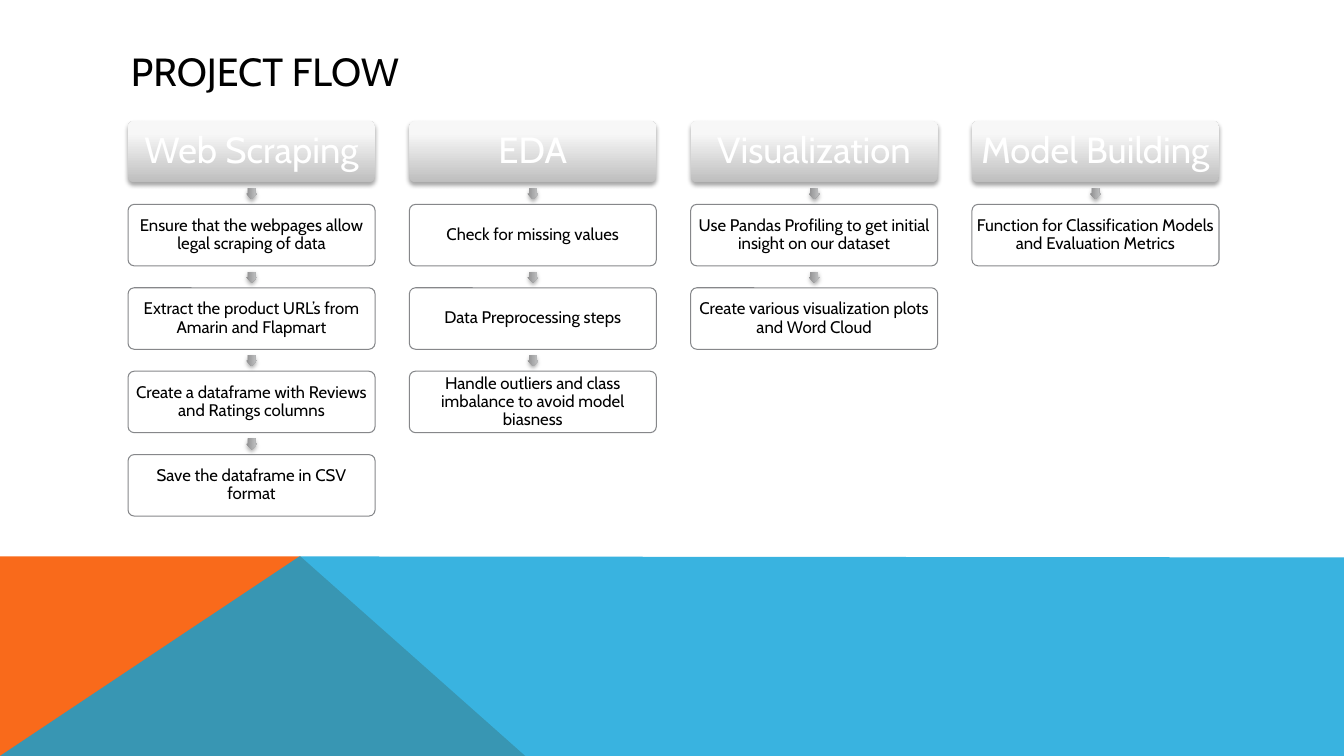
from lxml.etree import SubElement
from pptx import Presentation
from pptx.dml.color import RGBColor
from pptx.enum.shapes import MSO_SHAPE as Shape
from pptx.enum.text import MSO_ANCHOR as Anchor, PP_ALIGN as Align
from pptx.oxml.ns import qn
from pptx.util import Inches, Pt

COLORS = {
    "black": "000000",
    "white": "FFFFFF",
    "orange": "F96A1B",
    "blue": "08A1D9",
    "outline": "797B7E",
}
HEADER_STOPS = [(0, "BEBEBE"), (80, "F7F7F7"), (100, "F8F8F8")]
ARROW_STOPS = [(0, "8E8E8F"), (80, "B8B9BA"), (100, "B9BABB")]

LEFT, TOP = 1.27, 1.2
BOX_WIDTH, BOX_HEIGHT = 2.45, 0.61
COLUMN_PITCH = 2.79
ROW_PITCH = 3.31 / 4
ARROW_SIZE, ARROW_RISE = 0.11, 0.16

FLOW = {
    "Web Scraping": [
        "Ensure that the webpages allow legal scraping of data",
        "Extract the product URL’s from Amarin and Flapmart",
        "Create a dataframe with Reviews and Ratings columns",
        "Save the dataframe in CSV format",
    ],
    "EDA": [
        "Check for missing values",
        "Data Preprocessing steps",
        "Handle outliers and class imbalance to avoid model biasness",
    ],
    "Visualization": [
        "Use Pandas Profiling to get initial insight on our dataset",
        "Create various visualization plots and Word Cloud",
    ],
    "Model Building": [
        "Function for Classification Models and Evaluation Metrics",
    ],
}


class FlowSlide:
    font_name = "Cabin"

    def __init__(self, slide):
        self.slide = slide

    def color(self, name):
        return RGBColor.from_string(COLORS[name])

    def set_alpha(self, fill_parent, percent):
        for color in fill_parent.iter(qn("a:srgbClr")):
            SubElement(color, qn("a:alpha"), val=str(percent * 1000))

    def paint_gradient(self, shape, stops):
        shape.fill.background()
        properties = shape.element.spPr
        gradient = properties.makeelement(qn("a:gradFill"), {"rotWithShape": "1"})
        stop_list = SubElement(gradient, qn("a:gsLst"))
        for position, value in stops:
            stop = SubElement(stop_list, qn("a:gs"), pos=str(position * 1000))
            SubElement(stop, qn("a:srgbClr"), val=value)
        SubElement(gradient, qn("a:lin"), ang=str(270 * 60000), scaled="0")
        properties.replace(properties.find(qn("a:noFill")), gradient)

    def add_shadow(self, shape):
        effects = shape.element.spPr.find(qn("a:effectLst"))
        shadow = SubElement(
            effects, qn("a:outerShdw"), blurRad=str(Pt(3.1)), dist=str(Pt(1.8)),
            dir=str(90 * 60000), algn="ctr", rotWithShape="0",
        )
        SubElement(shadow, qn("a:srgbClr"), val=COLORS["black"])
        self.set_alpha(shadow, 35)

    def set_text(self, shape, text, size, color, inset, align=Align.CENTER, spacing=0.9):
        frame = shape.text_frame
        frame_format = {"word_wrap": True, "vertical_anchor": Anchor.MIDDLE}
        for side in ("left", "top", "right", "bottom"):
            frame_format[f"margin_{side}"] = Inches(inset)
        paragraph = frame.paragraphs[0]
        run = paragraph.add_run()
        run.text = text
        run.font.color.rgb = self.color(color)
        formats = [
            (frame, frame_format),
            (paragraph, {"alignment": align, "line_spacing": spacing}),
            (run.font, {"name": self.font_name, "size": Pt(size)}),
        ]
        for target, values in formats:
            for name, value in values.items():
                setattr(target, name, value)

    def band(self, points, color, alpha=None):
        corners = [(Inches(x), Inches(y)) for x, y in points]
        builder = self.slide.shapes.build_freeform(*corners[0])
        builder.add_line_segments(corners[1:], close=True)
        shape = builder.convert_to_shape()
        shape.shadow.inherit = False
        shape.fill.solid()
        shape.fill.fore_color.rgb = self.color(color)
        shape.line.fill.background()
        if alpha:
            self.set_alpha(shape.element.spPr, alpha)

    def title(self, text):
        box = self.slide.shapes.add_textbox(
            Inches(1.2), Inches(0.4), Inches(10.96), Inches(0.6))
        self.set_text(box, text, 28, "black", 0.1, Align.LEFT, 1.0)

    def preset(self, kind, left, top, width, height, adjustments):
        shape = self.slide.shapes.add_shape(
            kind, Inches(left), Inches(top), Inches(width), Inches(height))
        shape.shadow.inherit = False
        for index, value in enumerate(adjustments):
            shape.adjustments[index] = value
        return shape

    def box(self, left, top):
        return self.preset(
            Shape.ROUNDED_RECTANGLE, left, top, BOX_WIDTH, BOX_HEIGHT, [0.1])

    def raise_shape(self, shape, stops):
        shape.line.fill.background()
        self.paint_gradient(shape, stops)
        self.add_shadow(shape)

    def header(self, left, top, text):
        shape = self.box(left, top)
        self.raise_shape(shape, HEADER_STOPS)
        self.set_text(shape, text, 26, "white", 0.04)

    def arrow(self, left, top):
        shape = self.preset(
            Shape.RIGHT_ARROW, left, top, ARROW_SIZE, ARROW_SIZE, [0.667, 0.5])
        shape.rotation = 90
        self.raise_shape(shape, ARROW_STOPS)

    def step(self, left, top, text):
        shape = self.box(left, top)
        shape.fill.solid()
        shape.fill.fore_color.rgb = self.color("white")
        shape.line.color.rgb = self.color("outline")
        shape.line.width = Pt(0.75)
        self.set_alpha(shape.element.spPr, 90)
        self.set_text(shape, text, 12, "black", 0.02)


def main():
    presentation = Presentation()
    presentation.slide_width = Inches(13.33)
    presentation.slide_height = Inches(7.5)
    page = FlowSlide(presentation.slides.add_slide(presentation.slide_layouts[6]))

    page.band([(0, 7.5), (0, 5.52), (2.98, 5.52), (5.21, 7.5)], "orange")
    page.band([(0, 7.5), (2.97, 5.52), (13.33, 5.53), (13.33, 7.5)], "blue", 80)
    page.title("PROJECT FLOW")

    for column, (heading, steps) in enumerate(FLOW.items()):
        left = LEFT + column * COLUMN_PITCH
        page.header(left, TOP, heading)
        for row, text in enumerate(steps, start=1):
            top = TOP + row * ROW_PITCH
            page.arrow(left + (BOX_WIDTH - ARROW_SIZE) / 2, top - ARROW_RISE)
            page.step(left, top, text)

    presentation.save("out.pptx")


if __name__ == "__main__":
    main()
